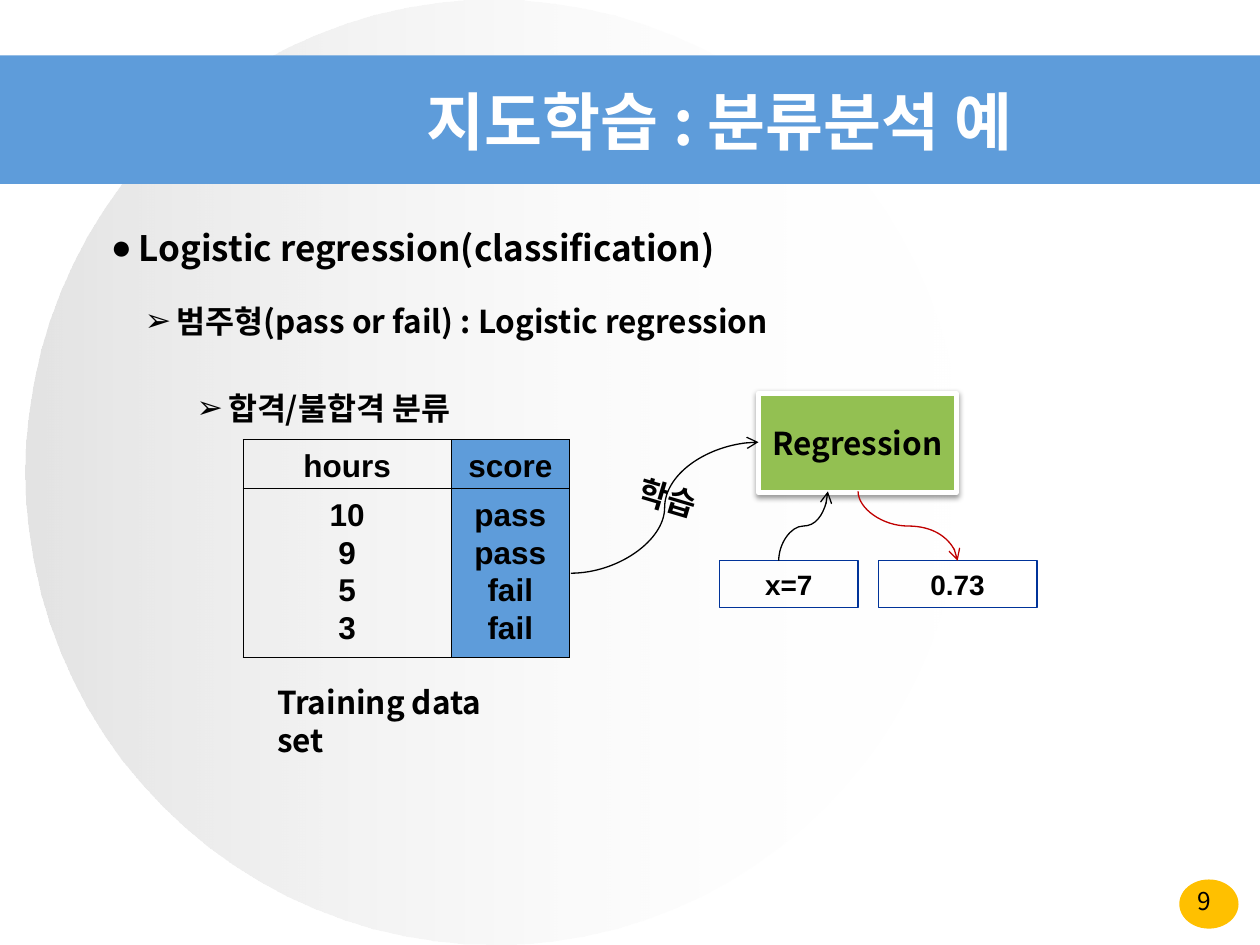
import math
from lxml import etree
from pptx import Presentation
from pptx.dml.color import RGBColor
from pptx.enum.shapes import MSO_CONNECTOR, MSO_SHAPE
from pptx.enum.text import MSO_ANCHOR, MSO_AUTO_SIZE, PP_ALIGN
from pptx.oxml.ns import qn
from pptx.util import Inches, Pt

CURVE = MSO_CONNECTOR.CURVE
RECTANGLE, OVAL = MSO_SHAPE.RECTANGLE, MSO_SHAPE.OVAL
TOP, MIDDLE = MSO_ANCHOR.TOP, MSO_ANCHOR.MIDDLE
LEFT, CENTER = PP_ALIGN.LEFT, PP_ALIGN.CENTER
NO_FIT = MSO_AUTO_SIZE.NONE

THEME = {
    "sans": "Arial", "korean": "Noto Sans CJK KR",
    "title": 36, "heading": 20, "body": 18, "small": 16, "number": 14,
    "black": "000000", "white": "FFFFFF", "blue": "5E9CDA", "green": "93C052",
    "navy": "003399", "red": "C00000", "amber": "FFC000", "silver": "C0C0C0",
}

# Content
TITLE = "지도학습 : 분류분석 예"
# text, bullet, size, bullet offset, hanging indent, space before
OUTLINE = [
    ("Logistic regression(classification)", "●", "heading", 0, 0.22, 0),
    ("범주형(pass or fail) : Logistic regression", "➢", "body", 0.27, 0.25, 19),
    ("합격/불합격 분류", "➢", "body", 0.68, 0.25, 28),
]
# heading, values, width, fill
COLUMNS = [
    ("hours", ["10", "9", "5", "3"], 1.65, None),
    ("score", ["pass", "pass", "fail", "fail"], 0.94, "blue"),
]
ROW_HEIGHTS = [0.39, 1.34]
TABLE_CORNER = (1.93, 3.49)
# text, left, top, width, height
VALUE_BOXES = [("x=7", 5.71, 4.45, 1.1, 0.37), ("0.73", 6.97, 4.45, 1.26, 0.37)]
# start, end, rotation, colour
ARROWS = [
    ((4.53, 4.55), (6.02, 3.51), 0, "black"),
    ((6.18, 4.45), (6.57, 3.9), 90, "black"),
    ((6.81, 3.9), (7.6, 4.45), 270, "red"),
]


def color(name):
    return RGBColor.from_string(THEME[name])


def add_xml(parent, tag, **attributes):
    return etree.SubElement(parent, qn(tag), attributes)


def format_para(para, size, font="korean", ink="black", bold=True, align=LEFT):
    para.alignment = align
    para.line_spacing = Pt(THEME[size] * 1.2)
    for span in para.runs:
        span.font.size = Pt(THEME[size])
        span.font.name = THEME[font]
        span.font.bold = bold
        span.font.color.rgb = color(ink)
        add_xml(span.font._element, "a:ea", typeface=THEME["korean"])


def write(frame, text, size, anchor=TOP, **style):
    frame.word_wrap = True
    frame.auto_size = NO_FIT
    frame.vertical_anchor = anchor
    frame.text = text
    for para in frame.paragraphs:
        format_para(para, size, **style)


def place(shape, *box):
    shape.left, shape.top, shape.width, shape.height = map(Inches, box)


def add_box(kind, box, fill=None, line=None, weight=0.75):
    shape = slide.shapes.add_shape(kind, *map(Inches, box))
    shape.shadow.inherit = False
    if fill:
        shape.fill.solid()
        shape.fill.fore_color.rgb = color(fill)
    else:
        shape.fill.background()
    if line:
        shape.line.color.rgb = color(line)
        shape.line.width = Pt(weight)
    else:
        shape.line.fill.background()
    return shape


def add_label(text, box, size, **style):
    label = slide.shapes.add_textbox(*map(Inches, box))
    write(label.text_frame, text, size, **style)
    return label


def add_arrow(start, end, rotation, ink):
    # Turn the end points back about their centre, then rotate the frame
    middle = [(a + b) / 2 for a, b in zip(start, end)]
    cos, sin = math.cos(math.radians(rotation)), math.sin(math.radians(rotation))
    points = []
    for x, y in (start, end):
        x, y = x - middle[0], y - middle[1]
        points += [middle[0] + x * cos + y * sin, middle[1] - x * sin + y * cos]
    arrow = slide.shapes.add_connector(CURVE, *map(Inches, points))
    arrow.line.color.rgb = color(ink)
    arrow.line.width = Pt(0.75)
    add_xml(arrow.line._get_or_add_ln(), "a:tailEnd", type="arrow")
    properties = arrow.element.spPr
    add_xml(properties, "a:effectLst")
    if rotation:
        properties.find(qn("a:xfrm")).set("rot", str(rotation * 60000))


def add_borders(cell):
    properties = cell._tc.get_or_add_tcPr()
    for index, side in enumerate(("a:lnL", "a:lnR", "a:lnT", "a:lnB")):
        border = etree.Element(qn(side), w=str(Pt(0.75)))
        fill = add_xml(border, "a:solidFill")
        add_xml(fill, "a:srgbClr", val=THEME["black"])
        properties.insert(index, border)


deck = Presentation()
deck.slide_width, deck.slide_height = Inches(10), Inches(7.5)
slide = deck.slides.add_slide(deck.slide_layouts[1])
title, body = slide.placeholders

# Backdrop: page number disc, faded circle, title band
add_box(OVAL, (9.36, 6.98, 0.47, 0.39), "amber")
circle = add_box(OVAL, (0.2, 0, 7.44, 7.5))
circle.fill.gradient()
circle.fill.gradient_angle = 0
for stop, ink, alpha in zip(circle.fill.gradient_stops, ("silver", "white"), (44, 0)):
    stop.color.rgb = color(ink)
    add_xml(stop._gs.find(qn("a:srgbClr")), "a:alpha", val=str(alpha * 1000))
add_box(RECTANGLE, (0, 0.44, 10, 1.02), "blue")

# Title and outline, lifted above the backdrop
for holder in (title, body):
    holder.element.getparent().append(holder.element)
place(title, 2.25, 0.58, 6.92, 0.75)
write(title.text_frame, TITLE, "title", MIDDLE, ink="white", align=CENTER)
place(body, 0.78, 1.75, 7.06, 1.7)
write(body.text_frame, "\n".join(item[0] for item in OUTLINE), "body")
for para, (_, bullet, size, offset, hang, before) in zip(body.text_frame.paragraphs, OUTLINE):
    para.space_before = Pt(before)
    para.line_spacing = Pt(THEME[size] * 1.2)
    para.runs[0].font.size = Pt(THEME[size])
    properties = para._p.get_or_add_pPr()
    properties.set("marL", str(Inches(offset + hang)))
    properties.set("indent", str(-Inches(hang)))
    add_xml(properties, "a:buFont", typeface=THEME["sans"])
    add_xml(properties, "a:buChar", char=bullet)

# Training data table
widths = [column[2] for column in COLUMNS]
table = slide.shapes.add_table(
    len(ROW_HEIGHTS), len(COLUMNS),
    *map(Inches, (*TABLE_CORNER, sum(widths), sum(ROW_HEIGHTS)))).table
table.first_row = table.horz_banding = False
for row, height in zip(table.rows, ROW_HEIGHTS):
    row.height = Inches(height)
for column, (heading, values, width, fill) in enumerate(COLUMNS):
    table.columns[column].width = Inches(width)
    for row, text in enumerate((heading, "\n".join(values))):
        cell = table.cell(row, column)
        cell.margin_top, cell.margin_bottom = Inches(0.05), 0
        cell.text_frame.text = text
        for para in cell.text_frame.paragraphs:
            format_para(para, "body", font="sans", align=CENTER)
        if fill:
            cell.fill.solid()
            cell.fill.fore_color.rgb = color(fill)
        else:
            cell.fill.background()
        add_borders(cell)

# Model box with a soft shadow
model = add_box(RECTANGLE, (6.02, 3.12, 1.57, 0.79), "green", "white", 3)
write(model.text_frame, "Regression", "body", MIDDLE, align=CENTER)
model.text_frame.margin_left = model.text_frame.margin_right = Inches(0.05)
shadow = add_xml(model.element.spPr.find(qn("a:effectLst")), "a:outerShdw",
                 blurRad=str(Pt(3.1)), dist=str(Pt(1.6)), dir="5400000", rotWithShape="0")
add_xml(add_xml(shadow, "a:srgbClr", val=THEME["black"]), "a:alpha", val="38000")

# Input and output values, and the arrows between the parts
for text, *box in VALUE_BOXES:
    value = add_box(RECTANGLE, box, line="navy")
    write(value.text_frame, text, "small", MIDDLE, font="sans", align=CENTER)
for arrow in ARROWS:
    add_arrow(*arrow)

# Captions and page number
add_label("Training data set", (2.1, 5.37, 2.11, 0.7), "body")
add_label("학습", (4.97, 3.77, 0.78, 0.4), "body", font="sans").rotation = 16.6
add_label("9", (9.12, 6.98, 0.88, 0.29), "number", bold=False, align=CENTER)

deck.save("out.pptx")
